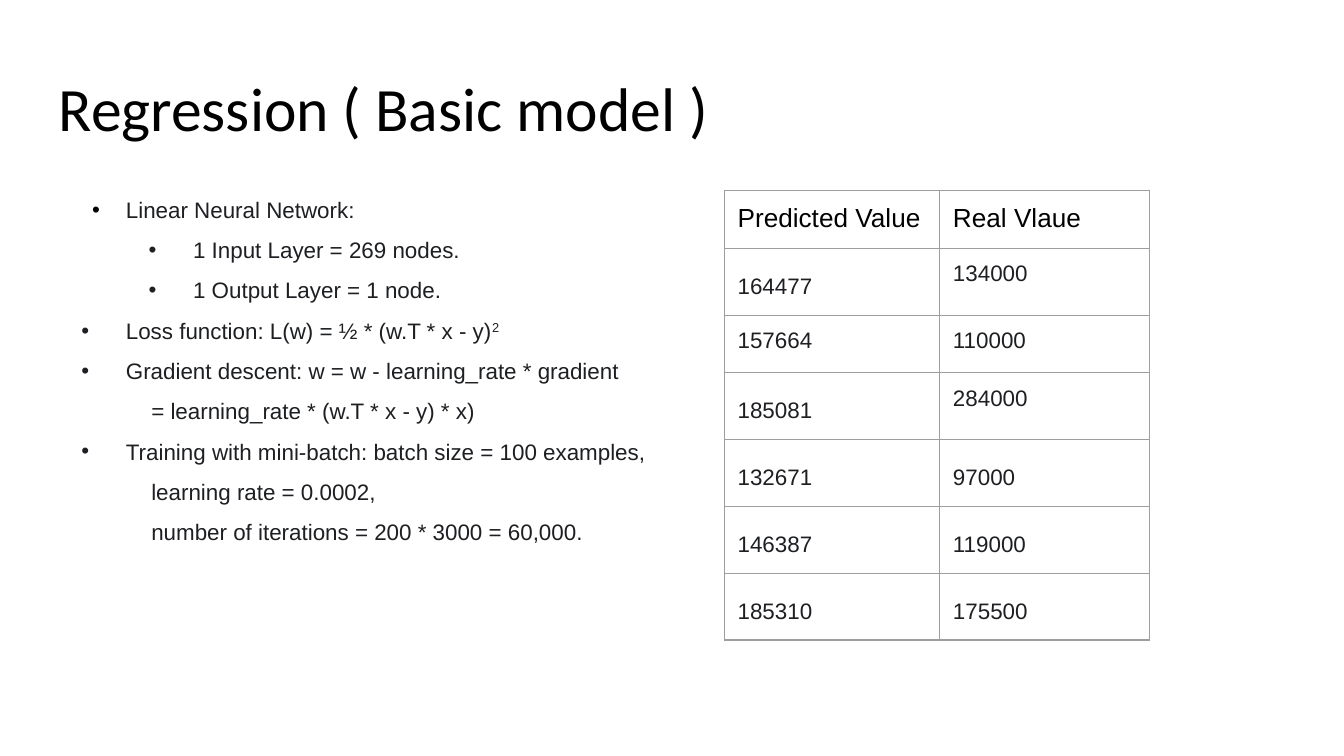
"""Build a slide on a basic regression model with a table of predictions."""
from dataclasses import dataclass

from lxml import etree
from pptx import Presentation
from pptx import util as u
from pptx.dml.color import RGBColor
from pptx.enum import text
from pptx.oxml import ns

BLACK, INK, GRID = "000000", "1D1F22", "9E9E9E"
INSET = u.Cm(0.25)


@dataclass
class Line:
    """A body line with its left margin and first-line indent in centimetres."""
    words: str
    margin: float = 1.27
    indent: float = -0.84
    level: int = 0
    superscript: str = ""
    bullet: bool = True
    bullet_color: str = INK


@dataclass
class Value:
    """A table cell with its text, size, colour and line spacing."""
    words: str
    spacing: float = 1.5
    size: int = 12
    color: str = INK


def sub_layer(words: str) -> Line:
    """Return a second-level bullet."""
    return Line(words, margin=2.54, level=1)


def continuation(words: str) -> Line:
    """Return an unbulleted line that continues a bullet."""
    return Line(words, margin=0.48, indent=1.27, bullet=False)


def heading(words: str) -> Value:
    """Return a table heading."""
    return Value(words, 1.0, 14, BLACK)


LINES = [
    Line("Linear Neural Network:", indent=-0.64, bullet_color=BLACK),
    sub_layer("1 Input Layer = 269 nodes."),
    sub_layer("1 Output Layer = 1 node."),
    Line("Loss function: L(w) = ½ * (w.T * x - y)", superscript="2"),
    Line("Gradient descent: w = w - learning_rate * gradient "),
    continuation("= learning_rate * (w.T * x - y) * x)"),
    Line("Training with mini-batch: batch size = 100 examples, "),
    continuation("learning rate = 0.0002, "),
    continuation("number of iterations = 200 * 3000 = 60,000."),
]
ROWS = [
    (heading("Predicted Value"), heading("Real Vlaue")),
    (Value("164477"), Value("134000", 1.0)),
    (Value("157664", 1.0), Value("110000", 1.0)),
    (Value("185081"), Value("284000", 1.0)),
    (Value("132671"), Value("97000")),
    (Value("146387"), Value("119000")),
    (Value("185310"), Value("175500")),
]


def rgb(color: str) -> RGBColor:
    """Turn a hex string into a colour."""
    return RGBColor.from_string(color)


def add_child(parent, tag: str, **attributes: str):
    """Append a DrawingML element to a parent."""
    return etree.SubElement(parent, ns.qn(tag), attributes)


def format_runs(paragraph, size: float, color: str, font: str = "Arial") -> None:
    """Set font, size and colour on every run of a paragraph."""
    for run in paragraph.runs:
        run.font.name = font
        run.font.size = u.Pt(size)
        run.font.color.rgb = rgb(color)


def set_insets(holder) -> None:
    """Give a text frame or cell equal margins on all sides."""
    holder.margin_left = holder.margin_right = INSET
    holder.margin_top = holder.margin_bottom = INSET


def add_text_frame(slide, top: float, height: float):
    """Add a full-width text box and return its frame."""
    shape = slide.shapes.add_textbox(u.Cm(0.86), u.Cm(top), u.Cm(23.67), u.Cm(height))
    frame = shape.text_frame
    frame.word_wrap = True
    frame.vertical_anchor = text.MSO_ANCHOR.TOP
    set_insets(frame)
    return frame


def add_title(slide) -> None:
    """Add the slide title."""
    frame = add_text_frame(slide, 1.24, 1.6)
    frame.text = "Regression ( Basic model )"
    frame.paragraphs[0].line_spacing = 0.9
    format_runs(frame.paragraphs[0], 33, BLACK, "Calibri")


def write_line(paragraph, line: Line) -> None:
    """Write one body line with its indents and bullet."""
    paragraph.text = line.words
    paragraph.level = line.level
    paragraph.line_spacing = 1.5
    if line.superscript:
        run = paragraph.add_run()
        run.text = line.superscript
        run.font._element.set("baseline", "30000")
    format_runs(paragraph, 12, INK)
    properties = paragraph._p.get_or_add_pPr()
    properties.set("marL", str(u.Cm(line.margin)))
    properties.set("indent", str(u.Cm(line.indent)))
    if line.bullet:
        add_child(add_child(properties, "a:buClr"), "a:srgbClr", val=line.bullet_color)
        add_child(properties, "a:buFont", typeface="Arial")
        add_child(properties, "a:buChar", char="•")


def add_body(slide) -> None:
    """Add the bulleted model description."""
    frame = add_text_frame(slide, 3.2, 10.57)
    for index, line in enumerate(LINES):
        write_line(frame.add_paragraph() if index else frame.paragraphs[0], line)


def write_cell(cell, value: Value) -> None:
    """Write one table cell with its borders and no fill."""
    cell.text = value.words
    set_insets(cell)
    paragraph = cell.text_frame.paragraphs[0]
    paragraph.line_spacing = value.spacing
    format_runs(paragraph, value.size, value.color)
    properties = cell._tc.get_or_add_tcPr()
    for side in "LRTB":
        border = add_child(properties, f"a:ln{side}", w=str(u.Pt(0.75)))
        add_child(add_child(border, "a:solidFill"), "a:srgbClr", val=GRID)
    cell.fill.background()


def add_values(slide) -> None:
    """Add the table of predicted and real values."""
    widths = (4.07, 3.96)
    row_height = 1.09
    table = slide.shapes.add_table(
        len(ROWS), len(widths), u.Cm(13.69), u.Cm(3.6),
        u.Cm(sum(widths)), u.Cm(row_height * len(ROWS))).table
    for column, width in zip(table.columns, widths):
        column.width = u.Cm(width)
    for row, values in zip(table.rows, ROWS):
        row.height = u.Cm(row_height)
        for cell, value in zip(row.cells, values):
            write_cell(cell, value)


def main() -> None:
    """Build and save the presentation."""
    presentation = Presentation()
    presentation.slide_width = u.Cm(25.4)
    presentation.slide_height = u.Cm(14.29)
    slide = presentation.slides.add_slide(presentation.slide_layouts[6])
    add_title(slide)
    add_body(slide)
    add_values(slide)
    presentation.save("out.pptx")


main()
